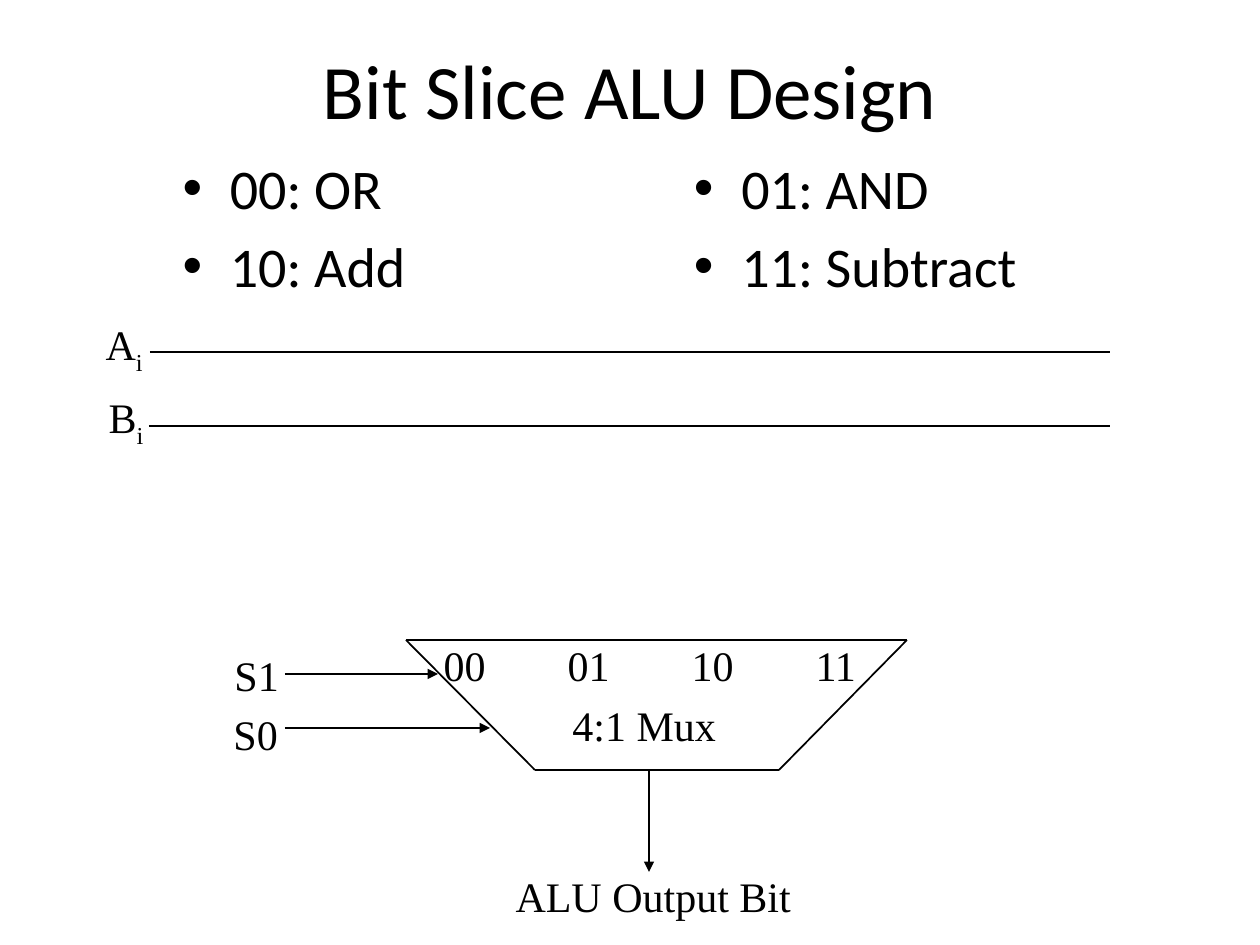
from dataclasses import dataclass

from lxml.etree import SubElement
from pptx import Presentation
from pptx.dml.color import RGBColor
from pptx.enum.shapes import MSO_CONNECTOR as Conn
from pptx.enum.text import MSO_ANCHOR as Anchor, MSO_AUTO_SIZE as AutoSize, PP_ALIGN as Align
from pptx.oxml.ns import qn
from pptx.util import Inches, Pt

PX_PER_INCH = 126
BLACK = "000000"
LABEL_H = 66
TAB_STEP = 124


@dataclass
class Label:
    x: int
    y: int
    w: int
    text: str
    sub: str = ""


@dataclass
class Wire:
    x1: int
    y1: int
    x2: int
    y2: int
    arrow: bool = False


def px(n: int) -> int:
    return Inches(n / PX_PER_INCH)


def color(value: str) -> RGBColor:
    return RGBColor.from_string(value)


def place(sp, x: int, y: int, w: int, h: int) -> None:
    sp.left, sp.top, sp.width, sp.height = px(x), px(y), px(w), px(h)


def add_run(p, text: str, size: int, font: str):
    r = p.add_run()
    r.text = text
    r.font.size, r.font.name = Pt(size), font
    r.font.color.rgb = color(BLACK)
    return r


def draw_label(slide, label: Label) -> None:
    sp = slide.shapes.add_textbox(px(label.x), px(label.y), px(label.w), px(LABEL_H))
    tf = sp.text_frame
    tf.word_wrap = True
    tf.margin_left = tf.margin_right = Inches(0.02)
    tf.margin_top = tf.margin_bottom = Inches(0.03)
    p = tf.paragraphs[0]
    p.line_spacing = Pt(27.6)
    # Evenly spaced tab stops for labels with columns
    columns = label.text.count("\t")
    if columns:
        tabs = SubElement(p._p.get_or_add_pPr(), qn("a:tabLst"))
        for i in range(1, columns + 1):
            SubElement(tabs, qn("a:tab"), pos=str(px(i * TAB_STEP)), algn="l")
    add_run(p, label.text, 24, "Times New Roman")
    if label.sub:
        r = add_run(p, label.sub, 24, "Times New Roman")
        r.font._element.set("baseline", "-25000")


def draw_wire(slide, wire: Wire) -> None:
    sp = slide.shapes.add_connector(
        Conn.STRAIGHT, px(wire.x1), px(wire.y1), px(wire.x2), px(wire.y2))
    sp.line.width = Pt(1)
    sp.line.color.rgb = color(BLACK)
    if wire.arrow:
        SubElement(sp.line._get_or_add_ln(), qn("a:tailEnd"), type="triangle")
    SubElement(sp._element.spPr, qn("a:effectLst"))


def fill_title(sp, text: str) -> None:
    place(sp, 63, 10, 1134, 158)
    tf = sp.text_frame
    tf.vertical_anchor = Anchor.MIDDLE
    p = tf.paragraphs[0]
    p.alignment = Align.CENTER
    add_run(p, text, 44, "Calibri")


def fill_opcodes(sp, items: list[str]) -> None:
    place(sp, 170, 147, 1048, 260)
    tf = sp.text_frame
    tf.auto_size = AutoSize.NONE
    # Two columns; the bottom margin leaves room for two lines in each
    tf._txBody.bodyPr.set("numCol", "2")
    tf.margin_bottom = Inches(0.5)
    for i, item in enumerate(items):
        p = tf.paragraphs[0] if i == 0 else tf.add_paragraph()
        add_run(p, item, 32, "Calibri")


MUX_CORNERS = [(406, 640), (907, 640), (779, 770), (535, 770)]

LABELS = [
    Label(570, 698, 200, "4:1 Mux"),
    Label(441, 638, 473, "00\t01\t10\t11"),
    Label(232, 648, 102, "S1"),
    Label(231, 707, 102, "S0"),
    Label(103, 324, 93, "A", "i"),
    Label(106, 397, 92, "B", "i"),
    Label(513, 869, 344, "ALU Output Bit"),
]

WIRES = [
    Wire(150, 352, 1110, 352),  # operand A
    Wire(149, 426, 1110, 426),  # operand B
    Wire(285, 674, 438, 674, arrow=True),  # select S1
    Wire(285, 728, 490, 728, arrow=True),  # select S0
    Wire(649, 770, 649, 872, arrow=True),  # output
]


def main() -> None:
    prs = Presentation()
    prs.slide_width, prs.slide_height = Inches(10), Inches(7.5)
    slide = prs.slides.add_slide(prs.slide_layouts[1])

    # Title and opcode list
    fill_title(slide.shapes.title, "Bit Slice ALU Design")
    fill_opcodes(slide.placeholders[1], ["00: OR", "10: Add", "01: AND", "11: Subtract"])

    # Multiplexer outline, wires and labels
    for start, end in zip(MUX_CORNERS, MUX_CORNERS[1:] + MUX_CORNERS[:1]):
        draw_wire(slide, Wire(*start, *end))
    for wire in WIRES:
        draw_wire(slide, wire)
    for label in LABELS:
        draw_label(slide, label)

    prs.save("out.pptx")


if __name__ == "__main__":
    main()
